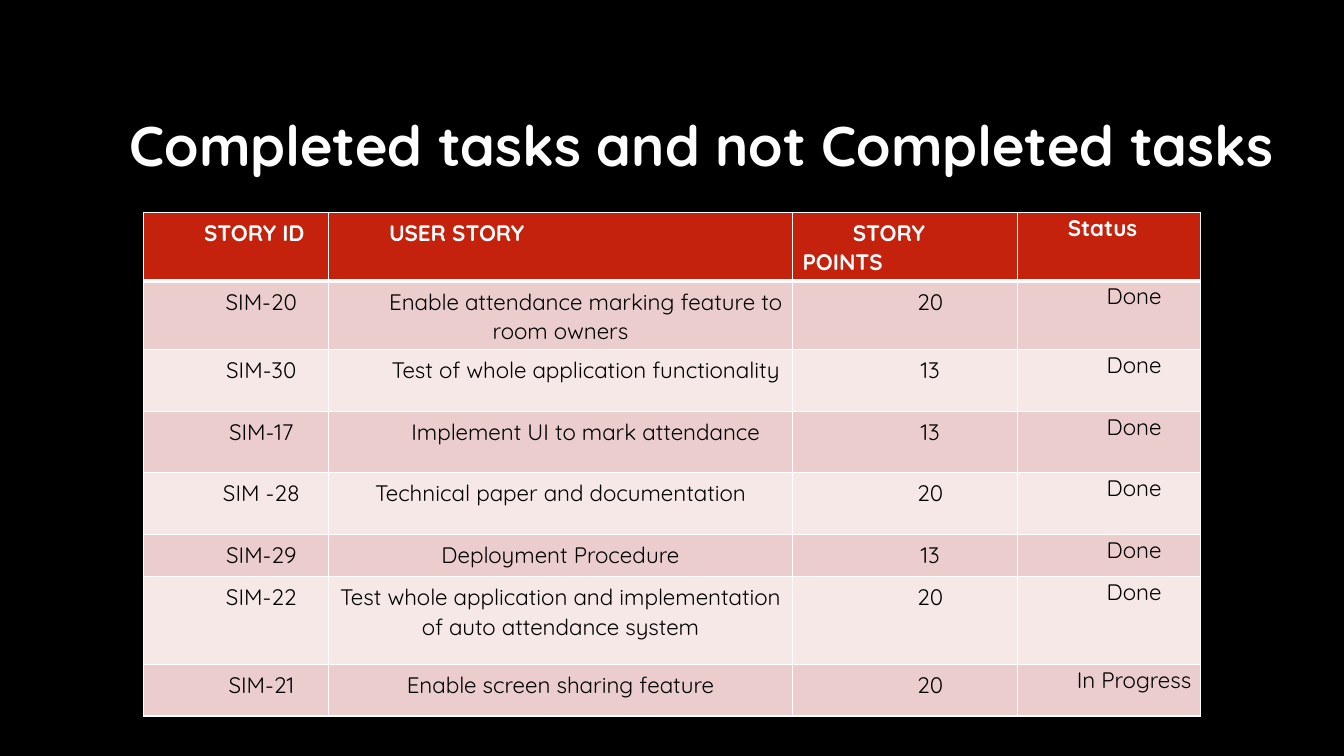
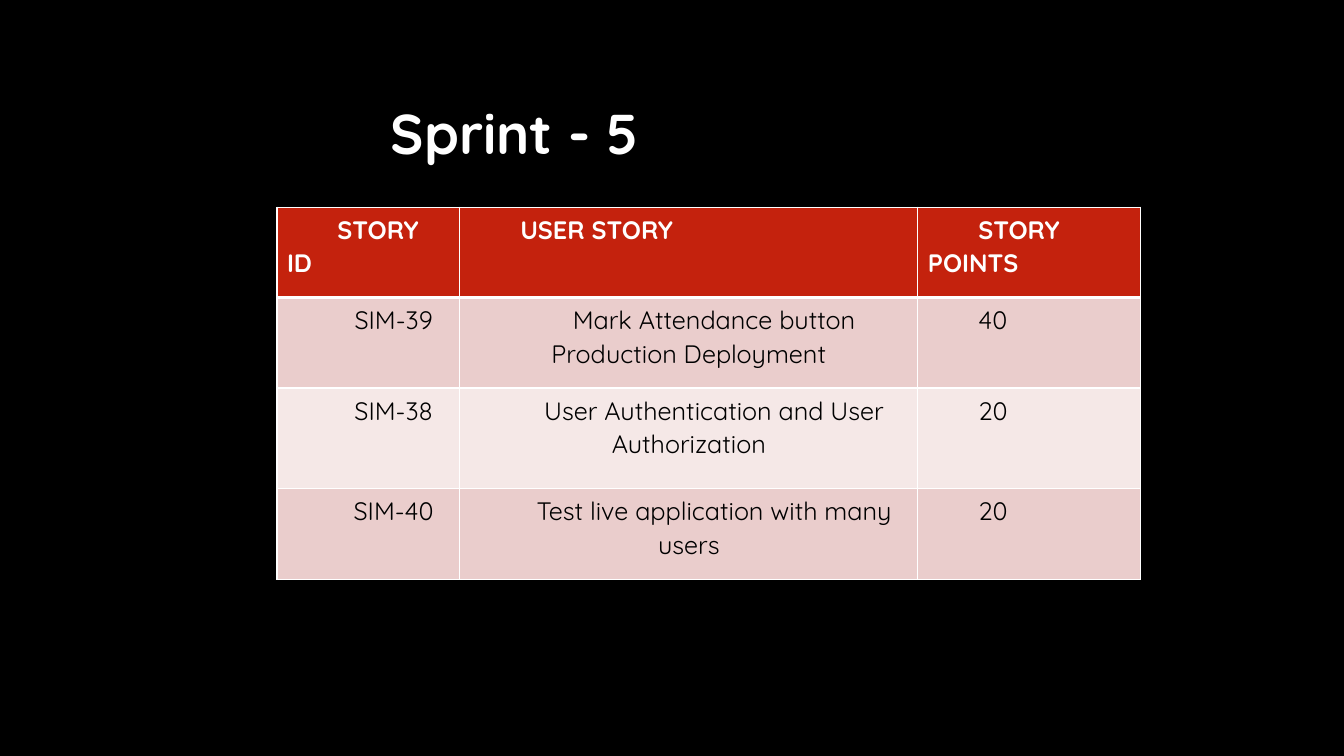
import pptx
import pptx.dml.color
import pptx.enum.text
import pptx.oxml
import pptx.oxml.ns
import pptx.util
from pptx.util import Cm

FONT = "Quicksand"
COLORS = {
    "background": "000000",
    "heading": "FFFFFF",
    "body": "000000",
    "border": "FFFFFF",
    "header": "C4220D",
    "odd": "EACDCC",
    "even": "F5E8E7",
}
LEFT = pptx.enum.text.PP_ALIGN.LEFT
CENTER = pptx.enum.text.PP_ALIGN.CENTER
FIRST_LINE = Cm(1.27)

TASKS = [
    ("STORY ID", "USER STORY", "STORY POINTS", "Status"),
    ("SIM-20", "Enable attendance marking feature to room owners", "20", "Done"),
    ("SIM-30", "Test of whole application functionality", "13", "Done"),
    ("SIM-17", "Implement UI to mark attendance", "13", "Done"),
    ("SIM -28", "Technical paper and documentation", "20", "Done"),
    ("SIM-29", "Deployment Procedure", "13", "Done"),
    ("SIM-22", "Test whole application and implementation of auto attendance system",
     "20", "Done"),
    ("SIM-21", "Enable screen sharing feature", "20", "In Progress"),
]
SPRINT = [
    ("STORY ID", "USER STORY", "STORY POINTS"),
    ("SIM-39", "Mark Attendance button Production Deployment", "40"),
    ("SIM-38", "User Authentication and User Authorization", "20"),
    ("SIM-40", "Test live application with many users", "20"),
]


def rgb(name):
    """Return the named palette colour."""
    return pptx.dml.color.RGBColor.from_string(COLORS[name])


def write_text(frame, text, *, size, color, bold=False, align=LEFT,
               indent=0, line_spacing=1.06, after=8):
    """Write one formatted paragraph into a text frame."""
    frame.word_wrap = True
    paragraph = frame.paragraphs[0]
    paragraph.alignment = align
    paragraph.line_spacing = line_spacing
    paragraph.space_after = pptx.util.Pt(after)
    if indent:
        properties = paragraph._p.get_or_add_pPr()
        properties.set("marL", "0")
        properties.set("indent", str(int(indent)))
    run = paragraph.add_run()
    run.text = text
    run.font.name = FONT
    run.font.size = pptx.util.Pt(size)
    run.font.bold = bold
    run.font.color.rgb = rgb(color)


def add_borders(cell, top=1, bottom=1):
    """Draw the four cell borders with the given top and bottom widths."""
    properties = cell._tc.get_or_add_tcPr()
    widths = {"L": 1, "R": 1, "T": top, "B": bottom}
    for position, (side, width) in enumerate(widths.items()):
        border = pptx.oxml.parse_xml(
            f'<a:ln{side} {pptx.oxml.ns.nsdecls("a")} w="{int(pptx.util.Pt(width))}">'
            f'<a:solidFill><a:srgbClr val="{COLORS["border"]}"/></a:solidFill>'
            f'</a:ln{side}>')
        properties.insert(position, border)


def add_title(slide, text, box):
    """Place the slide title in its box."""
    frame = slide.shapes.add_textbox(*map(Cm, box)).text_frame
    frame.vertical_anchor = pptx.enum.text.MSO_ANCHOR.MIDDLE
    write_text(frame, text, size=40, color="heading", bold=True,
               line_spacing=0.9, after=6)


def add_story_table(slide, stories, corner, widths, heights, size,
                    left_columns=(), flush_columns=(), unindented=()):
    """Place a banded story table with its top left at the corner."""
    left, top = corner
    table = slide.shapes.add_table(
        len(stories), len(widths), Cm(left), Cm(top),
        Cm(sum(widths)), Cm(sum(heights))).table
    for column, width in zip(table.columns, widths):
        column.width = Cm(width)
    for row, height in zip(table.rows, heights):
        row.height = Cm(height)
    for row_index, story in enumerate(stories):
        is_header = row_index == 0
        band = "header" if is_header else "odd" if row_index % 2 else "even"
        for column_index, text in enumerate(story):
            cell = table.cell(row_index, column_index)
            cell.fill.solid()
            cell.fill.fore_color.rgb = rgb(band)
            add_borders(cell, top=3 if row_index == 1 else 1,
                        bottom=3 if is_header else 1)
            if column_index in flush_columns:
                cell.margin_left = cell.margin_right = 0
                cell.margin_top = cell.margin_bottom = 0
            is_left = is_header or column_index in left_columns
            is_plain = column_index == 1 and row_index in unindented
            write_text(cell.text_frame, text, size=size, bold=is_header,
                       color="heading" if is_header else "body",
                       align=LEFT if is_left else CENTER,
                       indent=0 if is_plain else FIRST_LINE)


def add_dark_slide(deck):
    """Add a blank slide with the shared background."""
    slide = deck.slides.add_slide(deck.slide_layouts[6])
    slide.background.fill.solid()
    slide.background.fill.fore_color.rgb = rgb("background")
    return slide


def build_tasks_slide(deck):
    """Build the slide on completed and open tasks."""
    slide = add_dark_slide(deck)
    add_title(slide, "Completed tasks and not Completed tasks",
              (3.02, 2.67, 29.95, 2.13))
    add_story_table(slide, TASKS, (3.62, 5.35), (4.66, 11.69, 5.67, 4.61),
                    (1.73, 1.73, 1.55, 1.55, 1.55, 1.07, 2.21, 1.3), 16,
                    flush_columns=(3,), unindented=range(4, 8))


def build_sprint_slide(deck):
    """Build the slide on the fifth sprint."""
    slide = add_dark_slide(deck)
    add_story_table(slide, SPRINT, (6.98, 5.22), (4.61, 11.54, 5.61),
                    (2.28, 2.28, 2.54, 2.28), 18, left_columns=(2,))
    add_title(slide, "Sprint - 5", (9.6, 1.88, 14.66, 3.12))


def main():
    """Build and save the deck."""
    deck = pptx.Presentation()
    deck.slide_width, deck.slide_height = Cm(33.87), Cm(19.05)
    build_tasks_slide(deck)
    build_sprint_slide(deck)
    deck.save("out.pptx")


if __name__ == "__main__":
    main()
